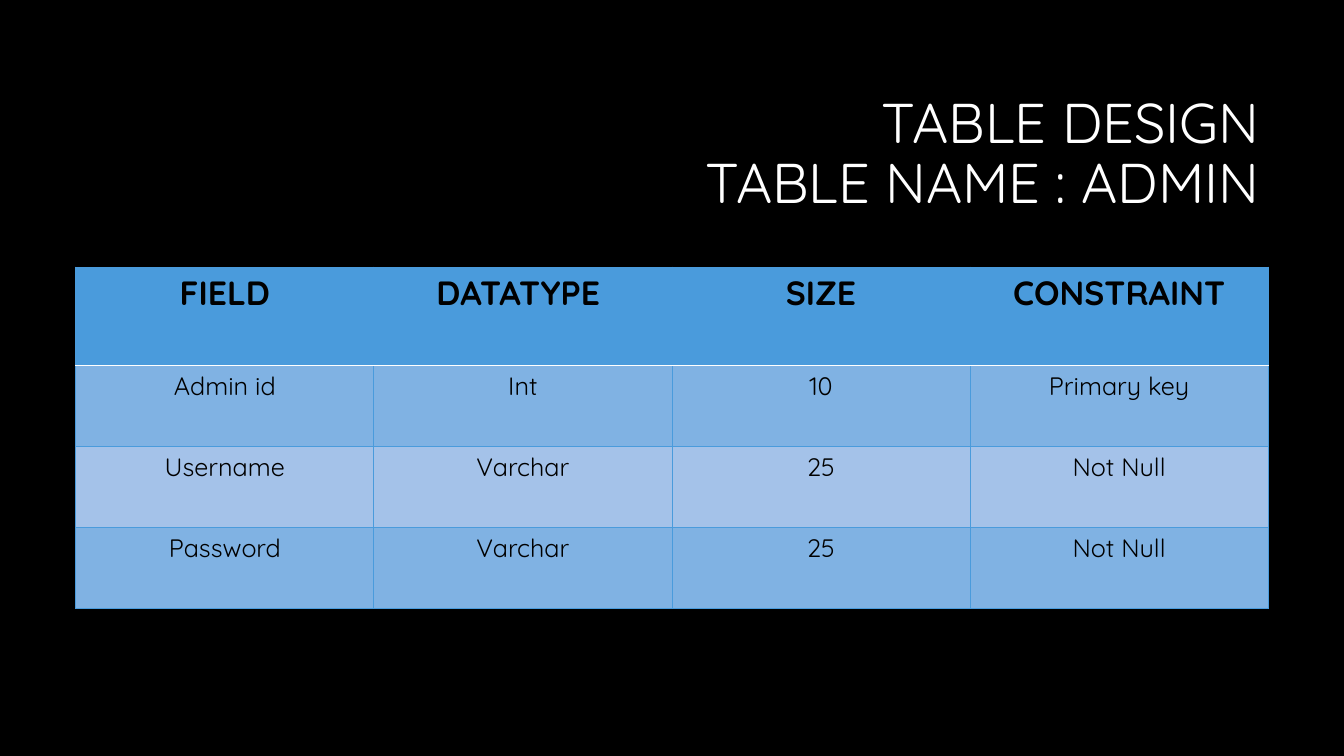
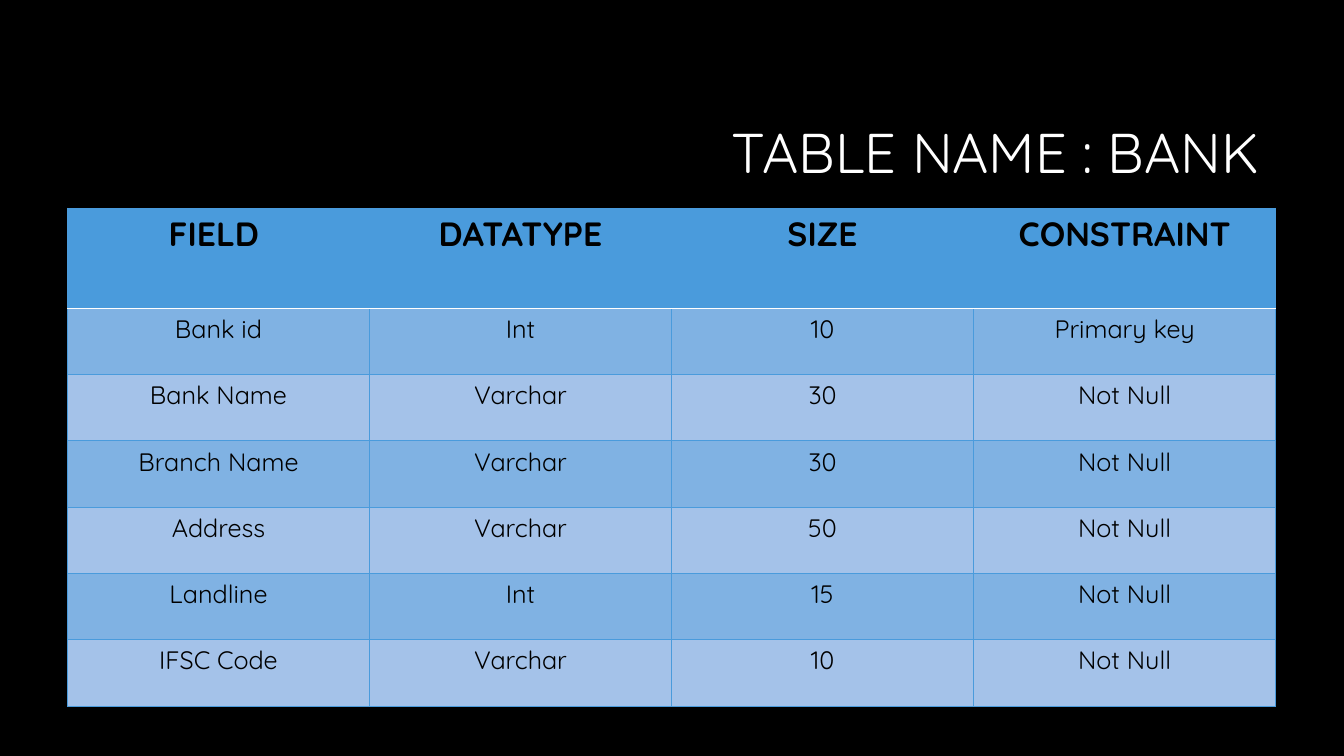
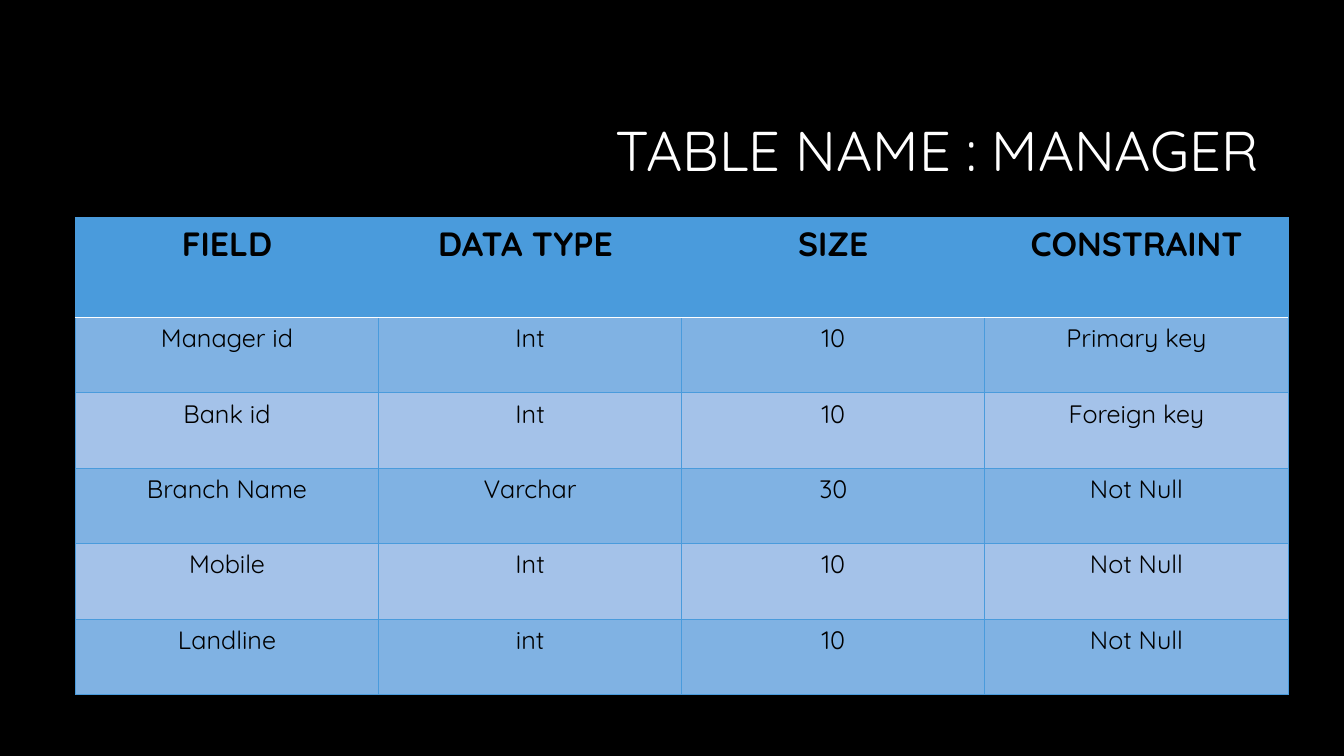
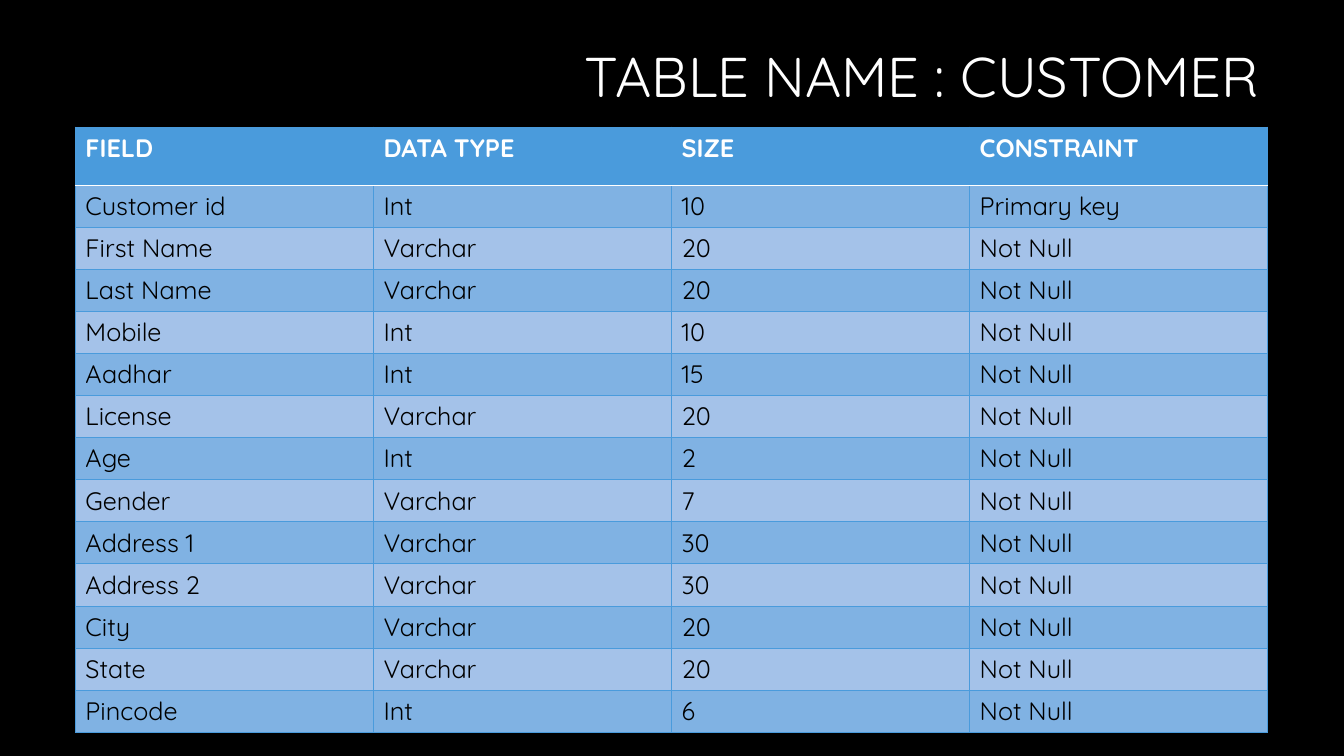
from dataclasses import dataclass

from lxml.etree import SubElement
from pptx import Presentation
from pptx.dml.color import RGBColor
from pptx.enum.text import MSO_ANCHOR, PP_ALIGN
from pptx.oxml.ns import qn
from pptx.util import Cm, Pt


@dataclass(frozen=True)
class Theme:
    """Colours, font and type sizes shared by the slides."""
    font: str = "Quicksand"
    back: str = "000000"
    light: str = "FFFFFF"
    dark: str = "000000"
    accent: str = "4A9BDC"
    bands: tuple = ("80B2E3", "A4C2E9")
    title_size: int = 40
    head_size: int = 24
    body_size: int = 18
    grid_line: float = 0.75
    head_line: float = 1


THEME = Theme()


@dataclass(frozen=True)
class Grid:
    """Place, row heights (cm) and header style of a table."""
    left: float
    top: float
    width: float
    head: float
    row: float
    align: PP_ALIGN = PP_ALIGN.CENTER
    head_size: int = THEME.head_size
    head_color: str = THEME.dark


def style(p, size, color, align, bold=False):
    """Format a paragraph and its runs."""
    p.alignment = align
    for r in p.runs:
        r.font.name = THEME.font
        r.font.size = Pt(size)
        r.font.bold = bold
        r.font.color.rgb = RGBColor.from_string(color)


def add_slide(prs):
    """Add a blank slide with the dark background."""
    s = prs.slides.add_slide(prs.slide_layouts[6])
    s.background.fill.solid()
    s.background.fill.fore_color.rgb = RGBColor.from_string(THEME.back)
    return s


def add_title(s, text, top):
    """Add the right-aligned title."""
    tf = s.shapes.add_textbox(Cm(8.05), Cm(top), Cm(23.93), Cm(3.58)).text_frame
    tf.word_wrap = True
    tf.vertical_anchor = MSO_ANCHOR.MIDDLE
    tf.text = text
    p = tf.paragraphs[0]
    p.line_spacing = 0.9
    style(p, THEME.title_size, THEME.light, PP_ALIGN.RIGHT)


def add_border(cell, side, color, width):
    """Draw one border of a cell."""
    ln = SubElement(cell._tc.get_or_add_tcPr(), qn(f"a:ln{side}"), w=str(Pt(width)))
    SubElement(SubElement(ln, qn("a:solidFill")), qn("a:srgbClr"), val=color)


def fill_cell(cell, text, row, grid):
    """Write a cell and set its borders, fill and text style."""
    is_head = row == 0
    white_side = {0: "B", 1: "T"}.get(row)
    for side in "LRTB":
        if side == white_side:
            add_border(cell, side, THEME.light, THEME.head_line)
        else:
            add_border(cell, side, THEME.accent, THEME.grid_line)
    cell.fill.solid()
    color = THEME.accent if is_head else THEME.bands[(row - 1) % 2]
    cell.fill.fore_color.rgb = RGBColor.from_string(color)
    cell.text = text
    size = grid.head_size if is_head else THEME.body_size
    ink = grid.head_color if is_head else THEME.dark
    style(cell.text_frame.paragraphs[0], size, ink, grid.align, is_head)


def add_fields(s, rows, grid):
    """Add the table of fields, with equal columns and banded rows."""
    cols = len(rows[0])
    height = grid.head + grid.row * (len(rows) - 1)
    table = s.shapes.add_table(len(rows), cols, Cm(grid.left), Cm(grid.top),
                               Cm(grid.width), Cm(height)).table
    for col in table.columns:
        col.width = Cm(grid.width / cols)
    for i, values in enumerate(rows):
        table.rows[i].height = Cm(grid.row if i else grid.head)
        for j, text in enumerate(values):
            fill_cell(table.cell(i, j), text, i, grid)


ADMIN = [
    ("FIELD", "DATATYPE ", "SIZE", "CONSTRAINT"),
    ("Admin id", "Int", "10", "Primary key"),
    ("Username", "Varchar", "25", "Not Null"),
    ("Password", "Varchar", "25", "Not Null"),
]
BANK = [
    ("FIELD ", "DATATYPE", "SIZE", "CONSTRAINT"),
    ("Bank id", "Int", "10", "Primary key"),
    ("Bank Name", "Varchar", "30", "Not Null"),
    ("Branch Name", "Varchar", "30", "Not Null"),
    ("Address", "Varchar", "50", "Not Null"),
    ("Landline", "Int", "15", "Not Null"),
    ("IFSC Code", "Varchar", "10", "Not Null"),
]
MANAGER = [
    ("FIELD", "DATA TYPE ", "SIZE", "CONSTRAINT"),
    ("Manager id", "Int", "10", "Primary key"),
    ("Bank id", "Int", "10", "Foreign key"),
    ("Branch Name", "Varchar", "30", "Not Null"),
    ("Mobile", "Int", "10", "Not Null"),
    ("Landline", "int", "10", "Not Null"),
]
CUSTOMER = [
    ("FIELD", "DATA TYPE", "SIZE", "CONSTRAINT"),
    ("Customer id", "Int", "10", "Primary key"),
    ("First Name", "Varchar", "20", "Not Null"),
    ("Last Name", "Varchar", "20", "Not Null"),
    ("Mobile", "Int", "10", "Not Null"),
    ("Aadhar", "Int", "15", "Not Null"),
    ("License", "Varchar", "20", "Not Null"),
    ("Age", "Int", "2", "Not Null"),
    ("Gender", "Varchar", "7", "Not Null"),
    ("Address 1", "Varchar", "30", "Not Null"),
    ("Address 2", "Varchar", "30", "Not Null"),
    ("City", "Varchar", "20", "Not Null"),
    ("State", "Varchar", "20", "Not Null"),
    ("Pincode", "Int", "6", "Not Null"),
]

SLIDES = [
    ("TABLE DESIGN\vTABLE NAME : ADMIN", 2.13, ADMIN,
     Grid(1.91, 6.73, 30.05, 2.47, 2.04)),
    ("TABLE NAME : BANK", 2.13, BANK,
     Grid(1.7, 5.25, 30.45, 2.52, 1.67)),
    ("TABLE NAME : MANAGER", 2.08, MANAGER,
     Grid(1.9, 5.48, 30.56, 2.52, 1.9)),
    ("TABLE NAME : CUSTOMER", 0.2, CUSTOMER,
     Grid(1.9, 3.2, 30.05, 1.47, 1.06, PP_ALIGN.LEFT, THEME.body_size, THEME.light)),
]


def main():
    """Build and save the presentation."""
    prs = Presentation()
    prs.slide_width = Cm(33.87)
    prs.slide_height = Cm(19.05)
    for title, top, rows, grid in SLIDES:
        s = add_slide(prs)
        add_title(s, title, top)
        add_fields(s, rows, grid)
    prs.save("out.pptx")


if __name__ == "__main__":
    main()
